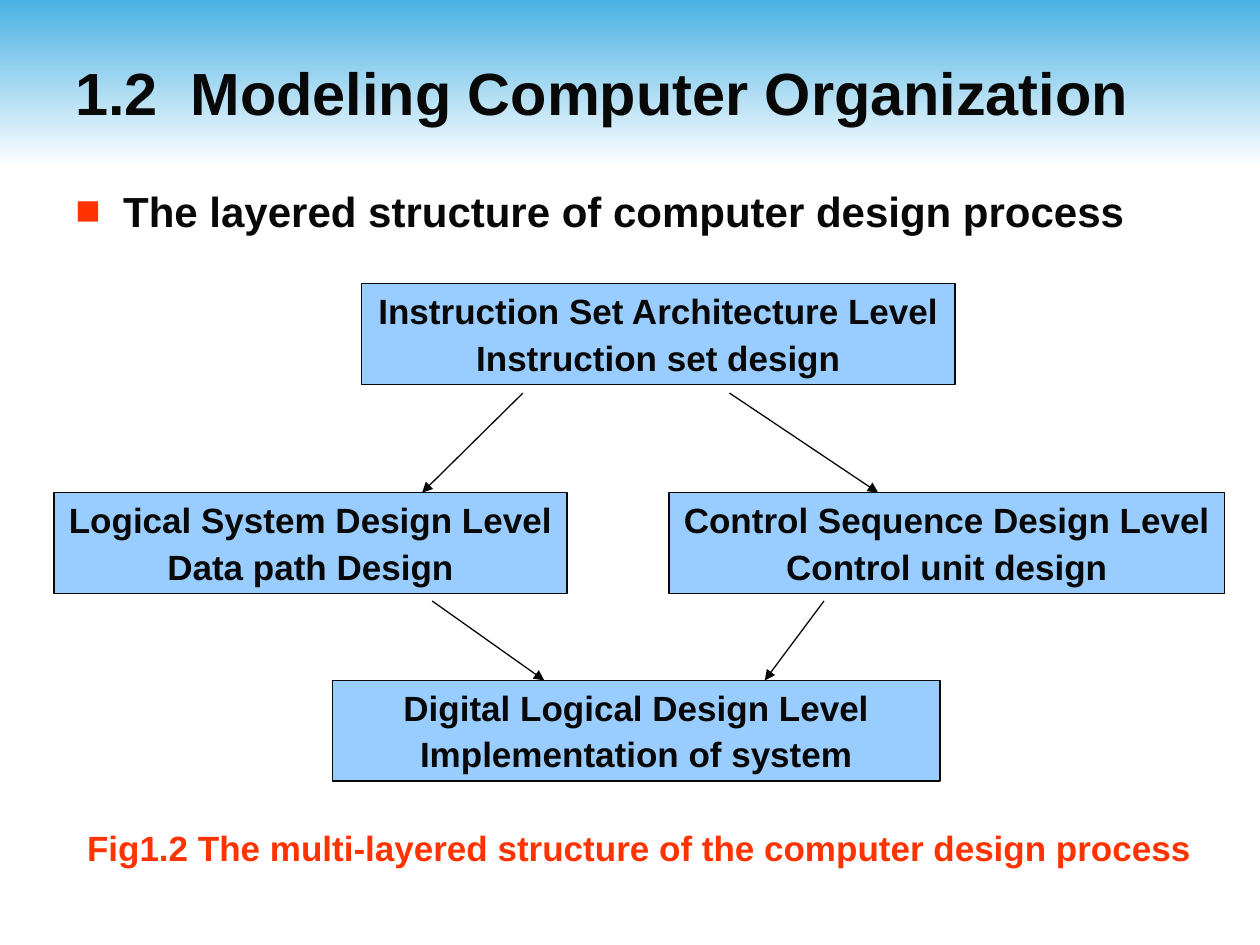
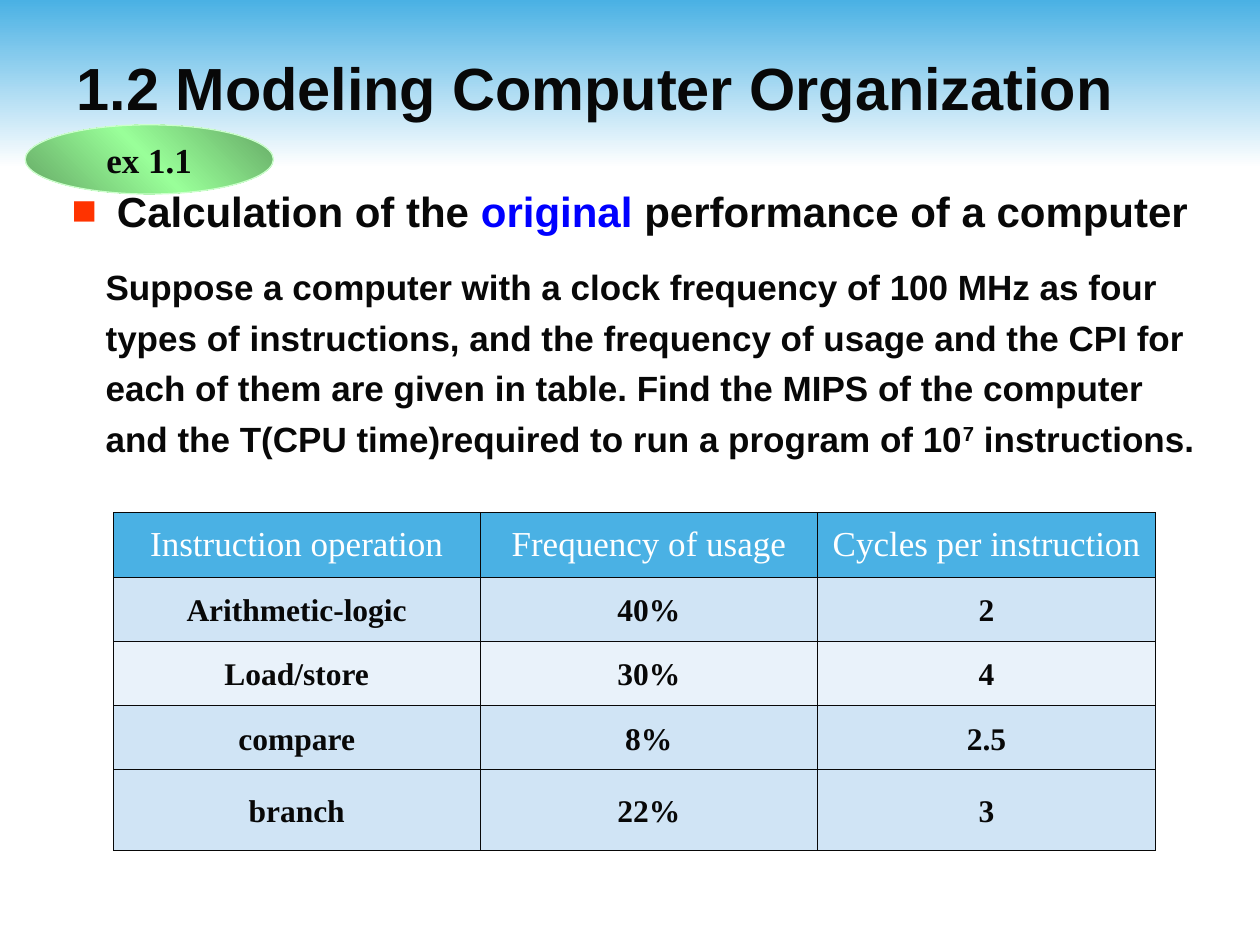
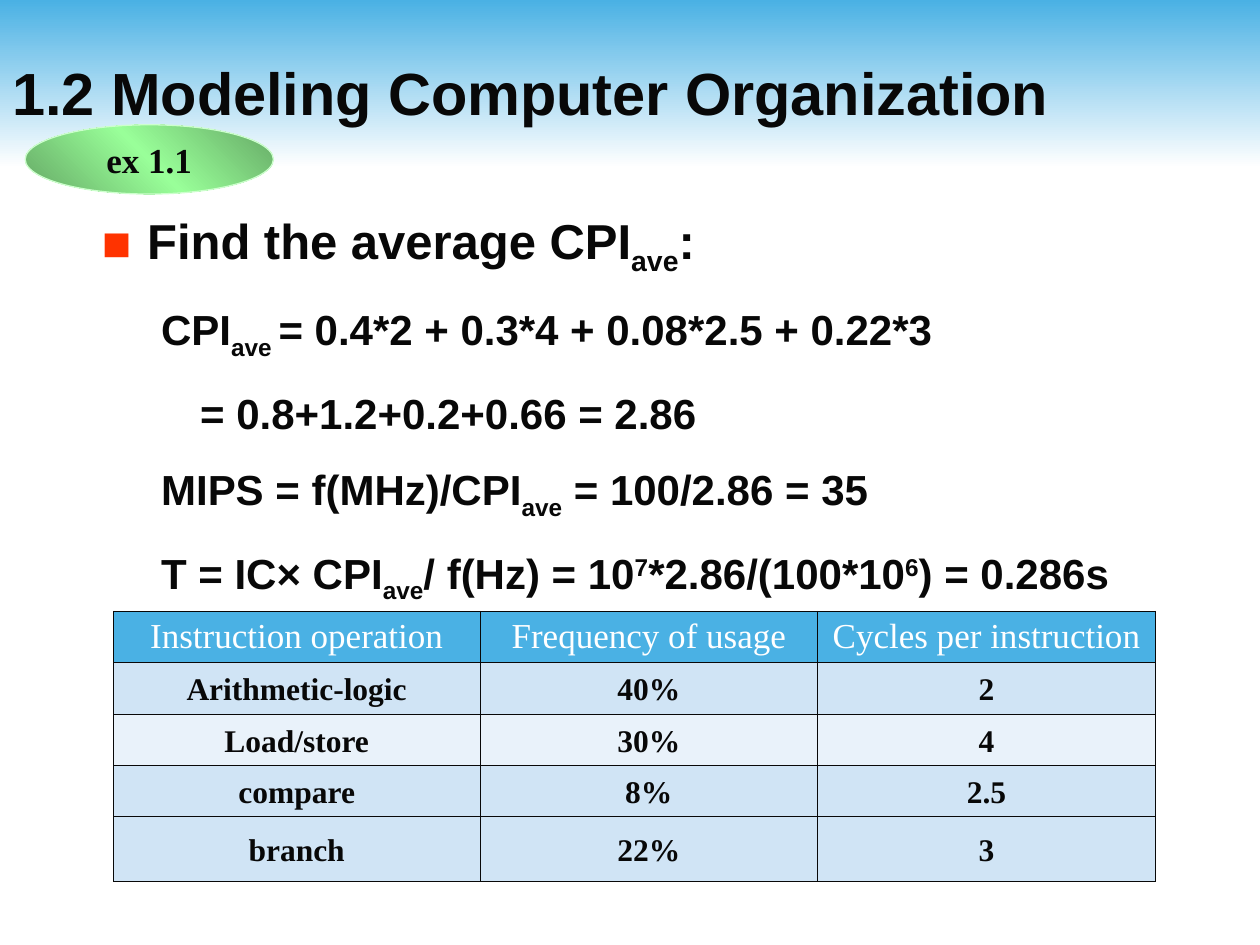
import pptx
import pptx.dml.color
import pptx.enum.shapes
import pptx.enum.text
import pptx.oxml.ns
import pptx.util
from lxml import etree

Inches = pptx.util.Inches
Pt = pptx.util.Pt
qn = pptx.oxml.ns.qn
SHAPE = pptx.enum.shapes.MSO_SHAPE
CENTER = pptx.enum.text.PP_ALIGN.CENTER
MIDDLE = pptx.enum.text.MSO_ANCHOR.MIDDLE

INK, SKY, WHITE, RED, BLUE = "080808", "4AB1E4", "FFFFFF", "FF3300", "0000FF"
BOX_FILL, ROW_DARK, ROW_LIGHT = "99CCFF", "D0E4F5", "E9F2FA"
BADGE_EDGE, BADGE_DARK, BADGE_LIGHT = "CCFFCC", "65A865", "99FF99"
SANS, SERIF = "Arial", "Times New Roman"
SUB, SUPER = {"baseline": -25}, {"baseline": 30}

# Boxes: left, top, width and two lines of text; arrows: start and end points
LEVEL_HEIGHT = 0.8
LEVELS = [
    (2.87, 2.25, 4.71, ["Instruction Set Architecture Level", "Instruction set design"]),
    (0.43, 3.91, 4.07, ["Logical System Design Level", "Data path Design"]),
    (5.31, 3.91, 4.41, ["Control Sequence Design Level", "Control unit design"]),
    (2.64, 5.4, 4.82, ["Digital Logical Design Level", "Implementation of system"]),
]
ARROWS = [
    (4.15, 3.12, 3.35, 3.91),
    (5.79, 3.12, 6.97, 3.91),
    (3.43, 4.77, 4.32, 5.4),
    (6.54, 4.77, 6.07, 5.4),
]
CAPTION = "Fig1.2 The multi-layered structure of the computer design process"

# Each paragraph: runs of (text, run format), then paragraph format
STRUCTURE_BODY = [
    ([("The layered structure of computer design process", {})],
     {"size": 24, "bullet": True, "margin": 0.38, "indent": -0.38}),
]
BULLET = {"bullet": True, "margin": 0.48, "indent": -0.36}
PROBLEM_BODY = [
    ([("Calculation of the ", {}), ("original", {"color": BLUE}),
      (" performance of a computer", {})], {"size": 24, **BULLET}),
    ([("Suppose a computer with a clock frequency of 100 MHz as four types of "
       "instructions, and the frequency of usage and the CPI for each of them are "
       "given in table. Find the MIPS of the computer and the T(CPU time)required "
       "to run a program of 10", {}), ("7", SUPER), (" instructions.", {})],
     {"size": 20, "margin": 0.39, "before": 12.5, "spacing": 1.2}),
]
FORMULA = {"size": 24, "margin": 0.9, "indent": -0.31, "before": 15}
SOLUTION_BODY = [
    ([("Find the average CPI", {}), ("ave", SUB), (":", {})], {"size": 28, **BULLET}),
    ([("CPI", {}), ("ave ", SUB), ("= 0.4*2 + 0.3*4 + 0.08*2.5 + 0.22*3", {})], FORMULA),
    ([("= 0.8+1.2+0.2+0.66 = 2.86", {})], {**FORMULA, "indent": 0}),
    ([("MIPS = f(MHz)/CPI", {}), ("ave", SUB), (" = 100/2.86 = 35", {})], FORMULA),
    ([("T = IC× CPI", {}), ("ave", SUB), ("/ f(Hz) = 10", {}), ("7", SUPER),
      ("*2.86/(100*10", {}), ("6", SUPER), (") = 0.286s", {})], FORMULA),
]

COLUMN_WIDTHS = [2.91, 2.68, 2.68]
ROW_HEIGHTS = [0.51, 0.51, 0.51, 0.51, 0.64]
ROW_FILLS = [SKY, ROW_DARK, ROW_LIGHT, ROW_DARK, ROW_DARK]
INSTRUCTION_MIX = [
    ["Instruction operation", "Frequency of usage", "Cycles per instruction"],
    ["Arithmetic-logic", "40%", "2"],
    ["Load/store", "30%", "4"],
    ["compare", "8%", "2.5"],
    ["branch", "22%", "3"],
]


def rgb(color):
    return pptx.dml.color.RGBColor.from_string(color)


def inches(*lengths):
    return [Inches(length) for length in lengths]


def set_values(target, values):
    for name, value in values.items():
        setattr(target, name, value)


def add_element(parent, tag, **attributes):
    return etree.SubElement(parent, qn(tag), attributes)


def add_color(parent, color):
    add_element(add_element(parent, "a:solidFill"), "a:srgbClr", val=color)


def set_gradient(shape, stops, angle):
    """Fill with a linear gradient of (percent, colour) stops."""
    shape.fill.gradient()
    shape.fill.gradient_angle = 360 - angle
    stop_list = shape.element.spPr.find(qn("a:gradFill")).find(qn("a:gsLst"))
    for old_stop in list(stop_list):
        stop_list.remove(old_stop)
    for percent, color in stops:
        stop = add_element(stop_list, "a:gs", pos=str(percent * 1000))
        add_element(stop, "a:srgbClr", val=color)


def write_paragraph(paragraph, runs, size, color=INK, font=SANS, bold=True, align=None,
                    before=0, spacing=None, margin=0, indent=0, bullet=False):
    properties = paragraph._p.get_or_add_pPr()
    properties.set("marL", str(Inches(margin)))
    properties.set("indent", str(Inches(indent)))
    if bullet:
        add_element(add_element(properties, "a:buClr"), "a:srgbClr", val=RED)
        add_element(properties, "a:buFont", typeface=SANS)
        add_element(properties, "a:buChar", char="■")
    set_values(paragraph, {"alignment": align, "space_before": Pt(before),
                           "line_spacing": spacing})
    for text, style in runs:
        run = paragraph.add_run()
        run.text = text
        set_values(run.font, {"name": font, "size": Pt(size), "bold": bold})
        run.font.color.rgb = rgb(style.get("color", color))
        if "baseline" in style:
            run.font._element.set("baseline", str(style["baseline"] * 1000))


def write_paragraphs(frame, paragraphs, **frame_values):
    set_values(frame, {"word_wrap": True, **frame_values})
    for index, (runs, style) in enumerate(paragraphs):
        paragraph = frame.add_paragraph() if index else frame.paragraphs[0]
        write_paragraph(paragraph, runs, **style)


def add_text(slide, box, paragraphs, **frame_values):
    text_box = slide.shapes.add_textbox(*inches(*box))
    write_paragraphs(text_box.text_frame, paragraphs, **frame_values)


def add_shape(slide, kind, box, line=None):
    shape = slide.shapes.add_shape(kind, *inches(*box))
    shape.shadow.inherit = False
    if line:
        shape.line.color.rgb = rgb(line)
        shape.line.width = Pt(0.75)
    else:
        shape.line.fill.background()
    return shape


def add_titled_slide(presentation, title, left, top):
    slide = presentation.slides.add_slide(presentation.slide_layouts[6])
    band = add_shape(slide, SHAPE.RECTANGLE, (0, 0, 10, 1.33))
    set_gradient(band, [(0, SKY), (100, WHITE)], 90)
    add_text(slide, (left, top, 9, 0.95), [([(title, {})], {"size": 34})],
             vertical_anchor=MIDDLE)
    return slide


def add_level(slide, left, top, width, lines):
    box = add_shape(slide, SHAPE.RECTANGLE, (left, top, width, LEVEL_HEIGHT), INK)
    box.fill.solid()
    box.fill.fore_color.rgb = rgb(BOX_FILL)
    paragraphs = [([(line, {})], {"size": 20, "align": CENTER, "before": 2.5 * index})
                  for index, line in enumerate(lines)]
    write_paragraphs(box.text_frame, paragraphs, vertical_anchor=MIDDLE)


def add_arrow(slide, *ends):
    arrow = slide.shapes.add_connector(pptx.enum.shapes.MSO_CONNECTOR.STRAIGHT, *inches(*ends))
    arrow.line.color.rgb = rgb(INK)
    arrow.line.width = Pt(0.75)
    add_element(arrow.line._get_or_add_ln(), "a:tailEnd", type="triangle")
    add_element(arrow._element.spPr, "a:effectLst")


def add_example_badge(slide):
    badge = add_shape(slide, SHAPE.OVAL, (0.2, 0.99, 1.97, 0.55), BADGE_EDGE)
    set_gradient(badge, [(0, BADGE_DARK), (50, BADGE_LIGHT), (100, BADGE_DARK)], 315)
    label = ([("ex 1.1", {})], {"size": 20, "font": SERIF, "align": CENTER})
    write_paragraphs(badge.text_frame, [label], word_wrap=False, vertical_anchor=MIDDLE)


def add_instruction_table(slide, top, row_scale=1):
    heights = [height * row_scale for height in ROW_HEIGHTS]
    table = slide.shapes.add_table(
        len(heights), len(COLUMN_WIDTHS),
        *inches(0.9, top, sum(COLUMN_WIDTHS), sum(heights))).table
    for column, width in zip(table.columns, COLUMN_WIDTHS):
        column.width = Inches(width)
    for row_index, (row, height) in enumerate(zip(table.rows, heights)):
        row.height = Inches(height)
        header = row_index == 0
        style = {"size": 20 if header else 18, "color": WHITE if header else INK,
                 "bold": not header, "font": SERIF, "align": CENTER, "spacing": Pt(22)}
        for cell, text in zip(row.cells, INSTRUCTION_MIX[row_index]):
            cell.vertical_anchor = MIDDLE
            properties = cell._tc.get_or_add_tcPr()
            for side in ("a:lnL", "a:lnR", "a:lnT", "a:lnB"):
                add_color(add_element(properties, side, w=str(Pt(0.45))), INK)
            cell.fill.solid()
            cell.fill.fore_color.rgb = rgb(ROW_FILLS[row_index])
            write_paragraph(cell.text_frame.paragraphs[0], [(text, {})], **style)


def build_structure_slide(presentation):
    slide = add_titled_slide(presentation, "1.2  Modeling Computer Organization", 0.5, 0.25)
    add_text(slide, (0.5, 1.42, 9, 5.5), STRUCTURE_BODY)
    for level in LEVELS:
        add_level(slide, *level)
    for arrow in ARROWS:
        add_arrow(slide, *arrow)
    add_text(slide, (0.43, 6.51, 9.29, 0.44),
             [([(CAPTION, {})], {"size": 20, "color": RED, "align": CENTER})])


def build_problem_slide(presentation):
    slide = add_titled_slide(presentation, "1.2 Modeling Computer Organization", 0.51, 0.21)
    add_text(slide, (0.35, 1.42, 9.33, 6.08), PROBLEM_BODY)
    add_example_badge(slide)
    add_instruction_table(slide, 4.07)


def build_solution_slide(presentation):
    slide = add_titled_slide(presentation, "1.2 Modeling Computer Organization", 0, 0.25)
    add_text(slide, (0.59, 1.62, 8.98, 5.59), SOLUTION_BODY)
    add_example_badge(slide)
    add_instruction_table(slide, 4.85, row_scale=0.8)


def main():
    presentation = pptx.Presentation()
    set_values(presentation, {"slide_width": Inches(10), "slide_height": Inches(7.5)})
    build_structure_slide(presentation)
    build_problem_slide(presentation)
    build_solution_slide(presentation)
    presentation.save("out.pptx")


if __name__ == "__main__":
    main()
